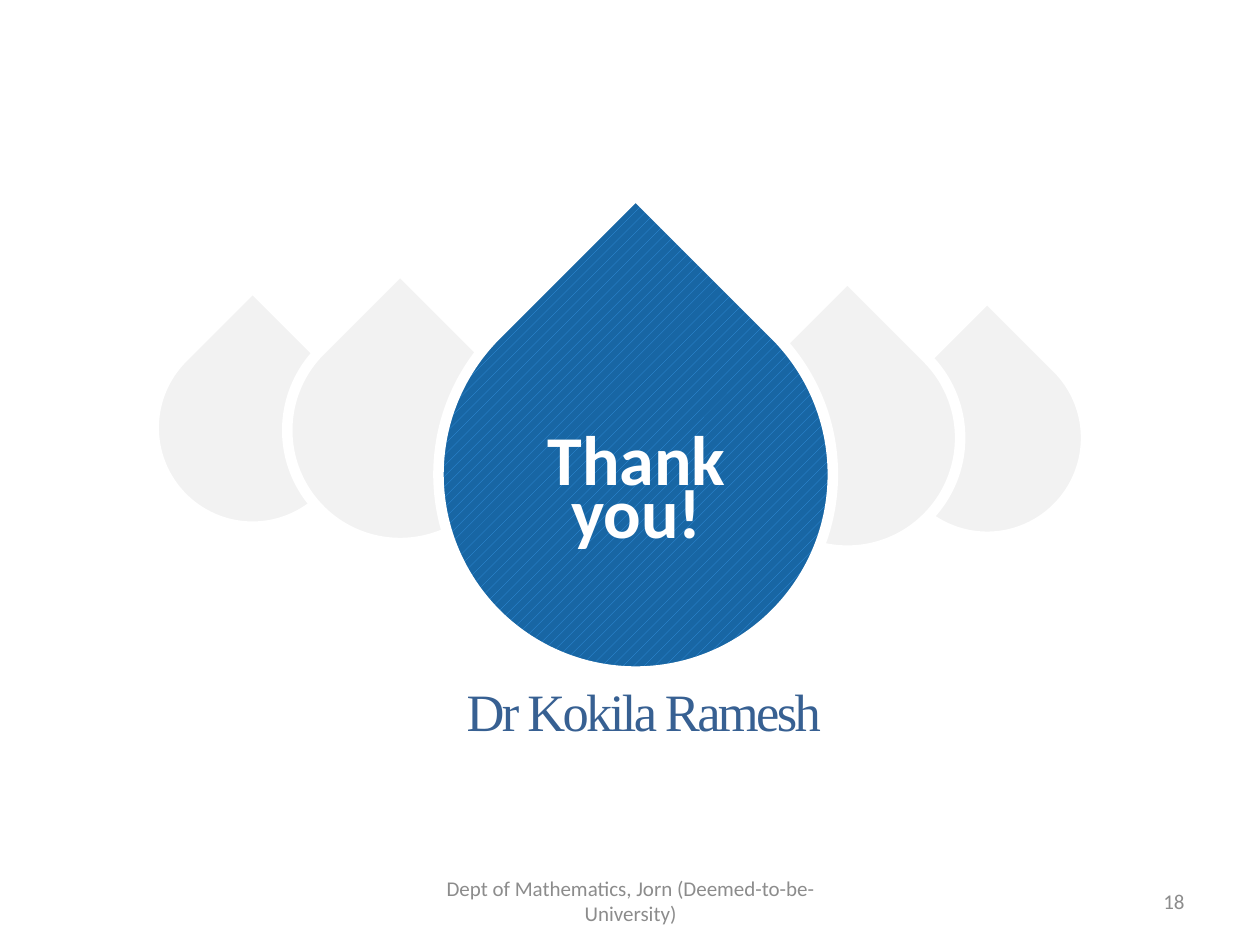
"""Build a closing thank-you slide with a row of teardrops."""
from pptx import Presentation
from pptx import util as u
from pptx.dml.color import RGBColor
from pptx.enum import dml, shapes, text


def color(value):
    return RGBColor.from_string(value)


def add_label(words, box, size, ink, font="Calibri", align="CENTER", anchor="TOP"):
    label = slide.shapes.add_textbox(*map(u.Inches, box))
    frame = label.text_frame
    frame.word_wrap = True
    frame.vertical_anchor = text.MSO_ANCHOR[anchor]
    paragraph = frame.paragraphs[0]
    paragraph.alignment = text.PP_ALIGN[align]
    run = paragraph.add_run()
    run.text = words
    run.font.size = u.Pt(size)
    run.font.name = font
    run.font.color.rgb = color(ink)
    return frame, paragraph, run


prs = Presentation()
prs.slide_width, prs.slide_height = u.Inches(10), u.Inches(7.5)
slide = prs.slides.add_slide(prs.slide_layouts[6])

teardrops = [
    (7.05, 2.69, 1.57),
    (5.83, 2.58, 1.79),
    (1.22, 2.61, 1.57),
    (2.28, 2.52, 1.79),
    (3.48, 2.2, 3.13),
]
for left, top, side in teardrops:
    drop = slide.shapes.add_shape(
        shapes.MSO_SHAPE.TEAR, *map(u.Inches, (left, top, side, side)))
    drop.rotation = 315
    drop.shadow.inherit = False
    drop.fill.solid()
    drop.fill.fore_color.rgb = color("F2F2F2")
    drop.line.color.rgb = color("FFFFFF")
    drop.line.width = u.Pt(6)

drop.fill.patterned()
drop.fill.pattern = dml.MSO_PATTERN.PERCENT_20
drop.fill.fore_color.rgb = color("3694E2")
drop.fill.back_color.rgb = color("1866A4")

frame, paragraph, speaker = add_label(
    "Dr Kokila Ramesh", (2.93, 5.34, 4.36, 0.61), 30, "376092", "Times New Roman")
frame.auto_size = text.MSO_AUTO_SIZE.SHAPE_TO_FIT_TEXT
speaker.font._element.set("spc", "-150")

frame, paragraph, thanks = add_label("Thank you!", (4.09, 3.5, 1.92, 1), 40, "FFFFFF")
frame.auto_size = text.MSO_AUTO_SIZE.SHAPE_TO_FIT_TEXT
paragraph.line_spacing = u.Pt(30)
thanks.font.bold = True

add_label("18", (7.17, 6.95, 2.33, 0.4), 12, "8C8C8C", align="RIGHT", anchor="MIDDLE")
add_label("Dept of Mathematics, Jorn (Deemed-to-be-University)",
          (3.42, 6.95, 3.17, 0.4), 12, "8C8C8C", anchor="MIDDLE")

prs.save("out.pptx")
